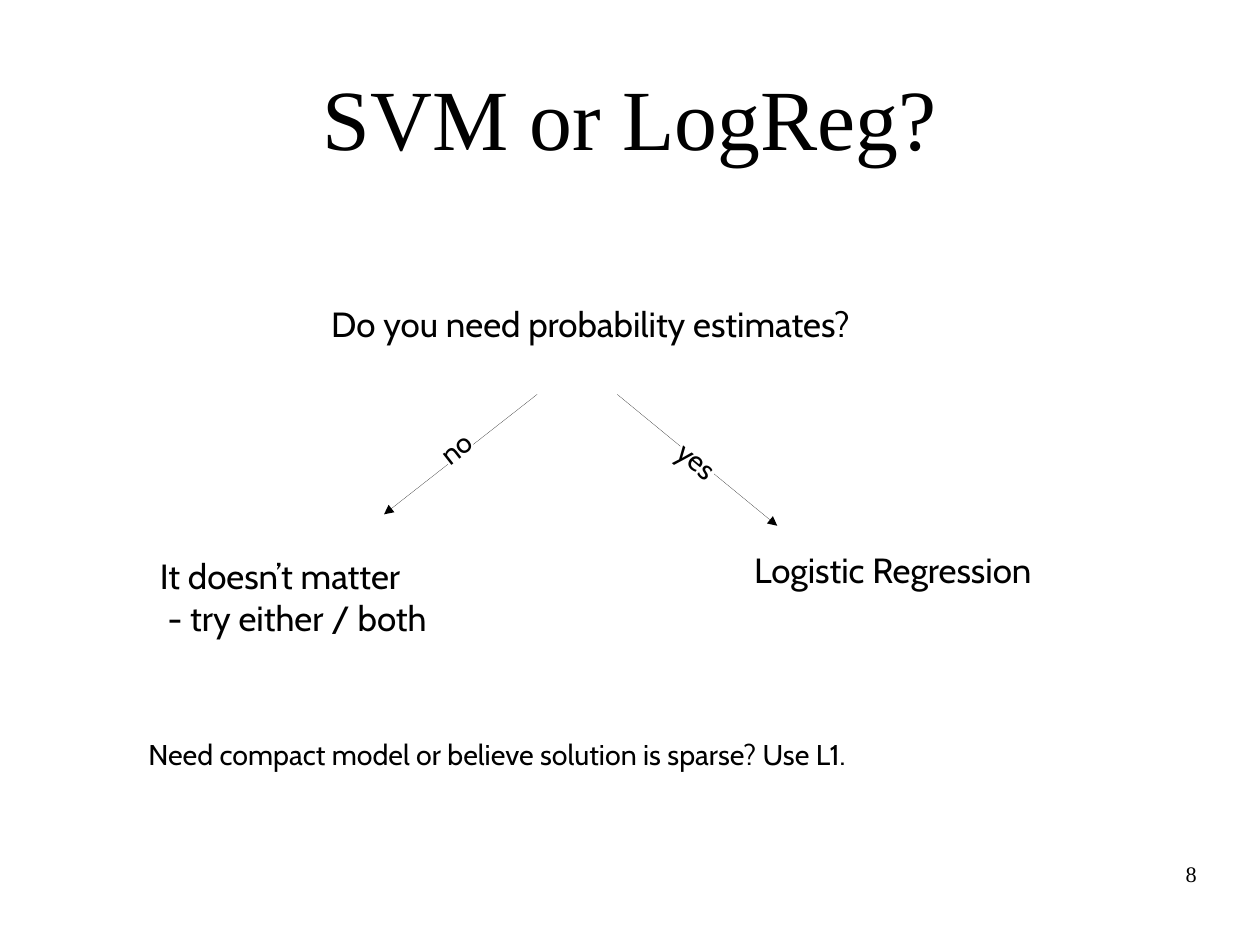
import math

from lxml import etree
from pptx import Presentation
from pptx.dml.color import RGBColor
from pptx.enum import shapes, text
from pptx.oxml import ns
from pptx.util import Inches, Pt

BLACK = RGBColor(0, 0, 0)
WHITE = RGBColor(255, 255, 255)
SERIF, SANS = "Times New Roman", "Cabin"
LEFT, CENTER, RIGHT = text.PP_ALIGN.LEFT, text.PP_ALIGN.CENTER, text.PP_ALIGN.RIGHT
TOP, MIDDLE = text.MSO_ANCHOR.TOP, text.MSO_ANCHOR.MIDDLE
CM_PER_INCH = 2.54


def add_text(slide, box, lines, size, font=SANS, align=LEFT, anchor=TOP,
             margins=(0.1, 0.05)):
    """Add a text box at box (left, top, width, height), one paragraph a line."""
    sp = slide.shapes.add_textbox(*(Inches(v) for v in box))
    tf = sp.text_frame
    tf.word_wrap = True
    tf.vertical_anchor = anchor
    tf.margin_left = tf.margin_right = Inches(margins[0])
    tf.margin_top = tf.margin_bottom = Inches(margins[1])
    for i, line in enumerate(lines):
        p = tf.paragraphs[0] if i == 0 else tf.add_paragraph()
        p.alignment = align
        r = p.add_run()
        r.text = line
        r.font.size = Pt(size)
        r.font.name = font
        r.font.color.rgb = BLACK
    return sp


def add_branch(slide, start, end, label, label_width, lift=0):
    """Draw a hairline arrow; its label is turned along it and raised by lift."""
    (x1, y1), (x2, y2) = start, end
    arrow = slide.shapes.add_connector(
        shapes.MSO_CONNECTOR.STRAIGHT, *(Inches(v) for v in (x1, y1, x2, y2)))
    arrow.line.color.rgb = BLACK
    line = arrow.line._get_or_add_ln()
    line.set("w", "0")
    etree.SubElement(line, ns.qn("a:tailEnd"), type="triangle")
    etree.SubElement(arrow._element.spPr, ns.qn("a:effectLst"))

    angle = math.atan((y2 - y1) / (x2 - x1))
    center_x = (x1 + x2) / 2 + lift * math.sin(angle)
    center_y = (y1 + y2) / 2 - lift * math.cos(angle)
    height = 0.3
    box = (center_x - label_width / 2, center_y - height / 2, label_width, height)
    sp = add_text(slide, box, [label], 18, align=CENTER, anchor=MIDDLE, margins=(0, 0))
    sp.text_frame.word_wrap = False
    sp.fill.solid()
    sp.fill.fore_color.rgb = WHITE
    sp.rotation = math.degrees(angle)


def add_decision_tree(slide, left, top):
    """Place the question, its two branches and their answers."""
    add_text(slide, (left + 1.5, top, 4.9, 0.93),
             ["Do you need probability estimates?"], 22)
    add_text(slide, (left + 5.2, top + 2.15, 3, 0.52), ["Logistic Regression"], 22)
    add_text(slide, (left, top + 2.2, 3, 1.02),
             ["It doesn’t matter", " - try either / both"], 22)
    fork = top + 0.85
    add_branch(slide, (left + 3.4, fork), (left + 2.06, fork + 1.05), "no", 0.28, 0.07)
    add_branch(slide, (left + 4.1, fork), (left + 5.5, fork + 1.15), "yes", 0.38)


def main():
    prs = Presentation()
    prs.slide_width = Inches(28 / CM_PER_INCH)
    prs.slide_height = Inches(21 / CM_PER_INCH)
    slide = prs.slides.add_slide(prs.slide_layouts[6])
    add_text(slide, (0.55, 0.33, 9.92, 1.38), ["SVM or LogReg?"], 54, SERIF,
             CENTER, MIDDLE, (0, 0))
    add_decision_tree(slide, 1.3, 2.6)
    add_text(slide, (1.2, 6.4, 7.3, 0.44),
             ["Need compact model or believe solution is sparse? Use L1."], 18)
    add_text(slide, (7.9, 7.53, 2.57, 0.57), ["8"], 14, SERIF, RIGHT, margins=(0, 0))
    prs.save("out.pptx")


if __name__ == "__main__":
    main()
